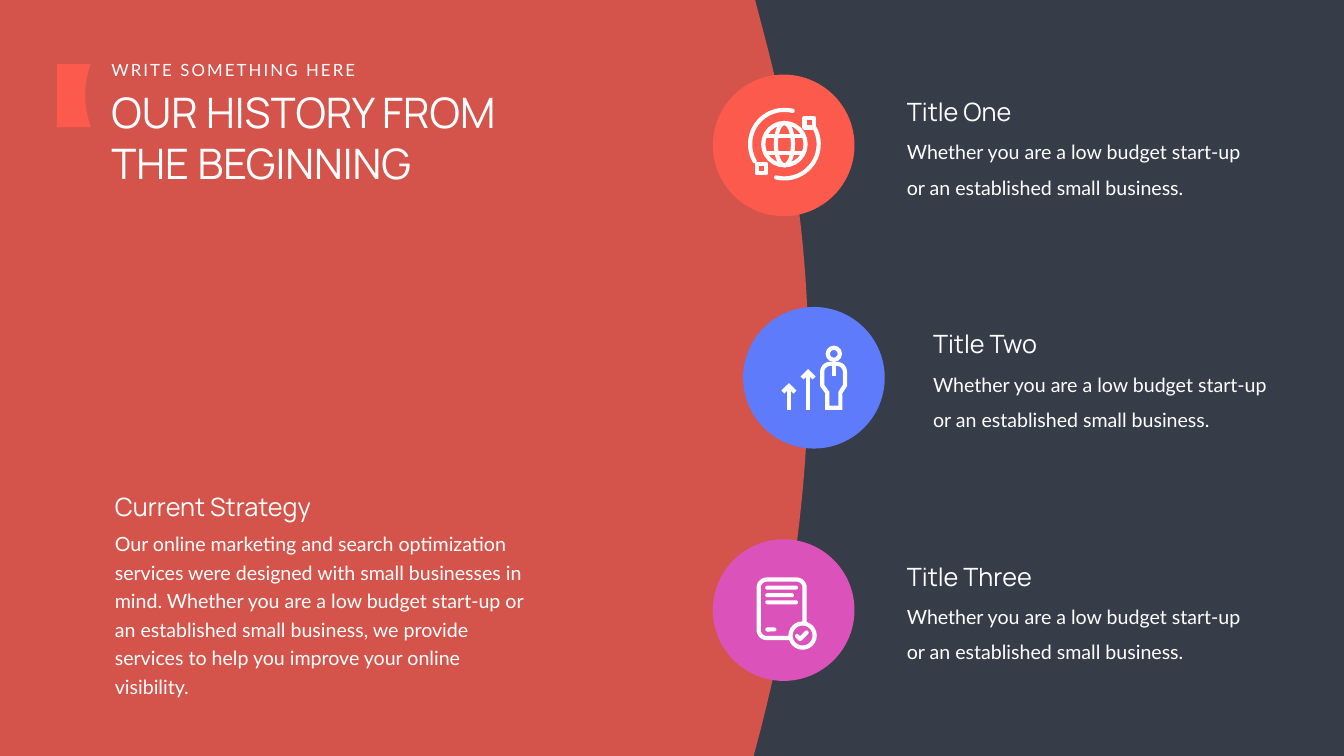
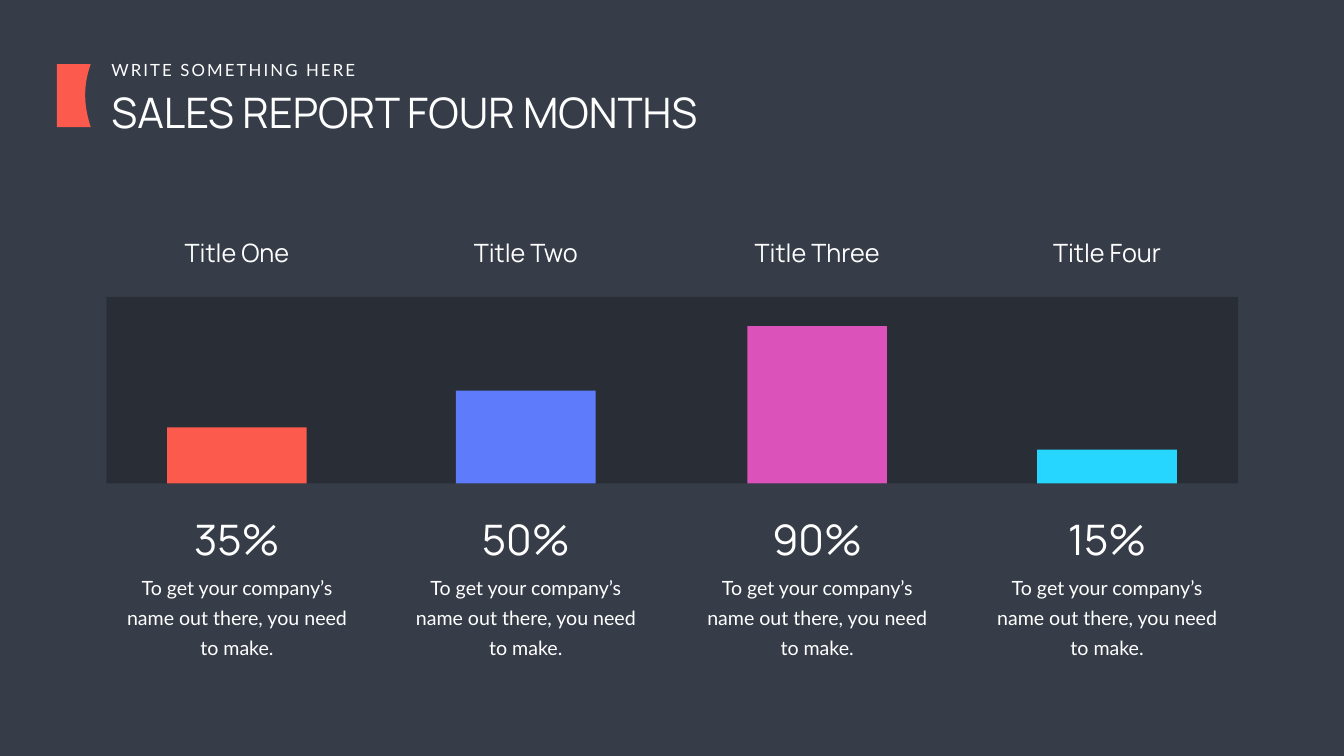
from dataclasses import dataclass
from math import cos, radians, sin

from lxml.etree import SubElement
from pptx import Presentation
from pptx.dml.color import RGBColor
from pptx.enum.shapes import MSO_SHAPE
from pptx.enum.text import MSO_ANCHOR, MSO_AUTO_SIZE, PP_ALIGN
from pptx.oxml.ns import qn
from pptx.util import Inches, Pt


@dataclass(frozen=True)
class Theme:
    background: str = "363D48"
    trough: str = "292E36"
    white: str = "FFFFFF"
    coral: str = "FC5A4C"
    blue: str = "5E7BFB"
    pink: str = "DC52BB"
    cyan: str = "26D6FE"
    heading_font: str = "Manrope"
    body_font: str = "Lato"
    title_size: int = 60
    heading_size: int = 36
    body_size: int = 28
    kicker_size: int = 24
    icon_stroke: float = 6


THEME = Theme()
MILESTONE_TEXT = "Whether you are a low budget start-up or an established small business."
MONTH_TEXT = "To get your company’s name out there, you need to make."
STRATEGY_TEXT = (
    "Our online marketing and search optimization services were designed with small "
    "businesses in mind. Whether you are a low budget start-up or an established small "
    "business, we provide services to help you improve your online visibility."
)


def color(value):
    return RGBColor.from_string(value)


def box(left, top, width, height):
    return [Inches(value) for value in (left, top, width, height)]


def write(shape, text, size, font, wrap=True, align=PP_ALIGN.LEFT, spacing=None, tracking=None):
    frame = shape.text_frame
    frame.word_wrap = wrap
    frame.auto_size = MSO_AUTO_SIZE.SHAPE_TO_FIT_TEXT
    frame.vertical_anchor = MSO_ANCHOR.TOP
    paragraph = frame.paragraphs[0]
    paragraph.alignment = align
    paragraph.line_spacing = spacing
    run = paragraph.add_run()
    run.text = text
    run.font.size = Pt(size)
    run.font.name = font
    run.font.color.rgb = color(THEME.white)
    if tracking:
        run.font._element.set("spc", str(tracking * 100))


def add_text(slide, area, text, size, font, **style):
    write(slide.shapes.add_textbox(*box(*area)), text, size, font, **style)


def add_heading(slide, area, text, **style):
    add_text(slide, area, text, THEME.heading_size, THEME.heading_font, **style)


def add_body(slide, area, text, spacing, **style):
    add_text(slide, area, text, THEME.body_size, THEME.body_font, spacing=spacing, **style)


def paint(shape, fill, alpha=None):
    shape.shadow.inherit = False
    shape.fill.solid()
    shape.fill.fore_color.rgb = color(fill)
    shape.line.fill.background()
    if alpha:
        swatch = shape._element.spPr.find(qn("a:solidFill"))[0]
        SubElement(swatch, qn("a:alpha")).set("val", str(alpha * 1000))


def add_filled(slide, kind, area, fill):
    shape = slide.shapes.add_shape(kind, *box(*area))
    paint(shape, fill)
    return shape


def build_outline(slide, contours, close):
    points = [[(Inches(x), Inches(y)) for x, y in contour] for contour in contours]
    builder = slide.shapes.build_freeform(*points[0][0])
    for index, contour in enumerate(points):
        if index:
            builder.move_to(*contour[0])
        builder.add_line_segments(contour[1:], close=close)
    return builder.convert_to_shape()


def stroke(shape, rounded):
    shape.shadow.inherit = False
    shape.fill.background()
    shape.line.color.rgb = color(THEME.white)
    shape.line.width = Pt(THEME.icon_stroke)
    line = shape.line._get_or_add_ln()
    line.set("cap", "rnd" if rounded else "flat")
    if rounded:
        SubElement(line, qn("a:round"))
    else:
        SubElement(line, qn("a:miter")).set("lim", "800000")


def add_strokes(slide, *contours, close=False, rounded=True):
    stroke(build_outline(slide, contours, close), rounded)


def add_ring(slide, x, y, rx, ry):
    stroke(slide.shapes.add_shape(MSO_SHAPE.OVAL, *box(x - rx, y - ry, 2 * rx, 2 * ry)), True)


def arc(x, y, radius, start, end, steps=24):
    angles = [radians(start + (end - start) * i / steps) for i in range(steps + 1)]
    return [(x + radius * cos(a), y + radius * sin(a)) for a in angles]


def bezier(p0, p1, p2, p3, steps=48):
    def point(t):
        weights = ((1 - t) ** 3, 3 * t * (1 - t) ** 2, 3 * t * t * (1 - t), t ** 3)
        return tuple(
            sum(w * p[axis] for w, p in zip(weights, (p0, p1, p2, p3))) for axis in (0, 1)
        )

    return [point(i / steps) for i in range(steps + 1)]


def add_globe_icon(slide):
    x, y = 15.56, 2.86
    add_ring(slide, x, y, 0.42, 0.42)
    add_ring(slide, x, y, 0.17, 0.42)
    add_strokes(slide, *[[(x - 0.38, y + dy), (x + 0.38, y + dy)] for dy in (-0.16, 0.17)])
    for start, end, left, top in ((-30, 104, 15.96, 2.34), (150, 284, 15.01, 3.25)):
        add_strokes(slide, arc(x, y, 0.68, start, end))
        satellite = slide.shapes.add_shape(MSO_SHAPE.RECTANGLE, *box(left, top, 0.19, 0.19))
        stroke(satellite, True)


def add_growth_icon(slide):
    add_ring(slide, 16.54, 7.02, 0.12, 0.12)
    body = arc(16.47, 7.38, 0.16, 180, 270) + arc(16.6, 7.38, 0.16, -90, 0)
    legs = [(16.76, 7.65), (16.67, 7.79), (16.67, 8.09), (16.41, 8.09), (16.41, 7.79), (16.31, 7.65)]
    add_strokes(slide, body + legs, close=True, rounded=False)
    add_strokes(slide, [(16.54, 7.22), (16.54, 7.46)], rounded=False)
    for x, tip in ((16.03, 7.38), (15.65, 7.66)):
        head = [(x - 0.12, tip + 0.12), (x, tip), (x + 0.12, tip + 0.12)]
        add_strokes(slide, head, [(x, tip), (x, 8.13)], rounded=False)


def add_document_icon(slide):
    left, top, right, bottom, radius = 15.05, 11.5, 15.96, 12.66, 0.16
    page = (
        [(right, 12.37)]
        + arc(right - radius, top + radius, radius, 0, -90)
        + arc(left + radius, top + radius, radius, -90, -180)
        + arc(left + radius, bottom - radius, radius, 180, 90)
        + [(15.68, bottom)]
    )
    add_strokes(slide, page)
    for width, row_top in ((0.65, 11.62), (0.57, 11.77), (0.65, 11.91), (0.22, 12.45)):
        row = add_filled(slide, MSO_SHAPE.ROUNDED_RECTANGLE, (15.18, row_top, width, 0.08), THEME.white)
        row.adjustments[0] = 0.5
    add_ring(slide, 15.92, 12.61, 0.24, 0.24)
    add_strokes(slide, [(15.81, 12.62), (15.87, 12.68), (16, 12.55)])


def add_header(slide, title, width, height):
    placeholder = slide.shapes.title
    placeholder.left, placeholder.top, placeholder.width, placeholder.height = box(
        2.11, 1.67, width, height
    )
    write(placeholder, title, THEME.title_size, THEME.heading_font)
    add_text(slide, (2.11, 1.13, 5.14, 0.5), "WRITE SOMETHING HERE", THEME.kicker_size,
             THEME.body_font, wrap=False, tracking=3)
    notch = bezier((1.8, 1.27), (1.68, 1.61), (1.63, 2), (1.8, 2.52))
    paint(build_outline(slide, [[(1.13, 1.27)] + notch + [(1.13, 2.52)]], True), THEME.coral)


def add_curved_panel(slide):
    edge = bezier((14.95, 15), (17.14, 6.99), (15.42, 1.77), (14.98, 0))
    panel = build_outline(slide, [[(0, 0), (0, 15)] + edge], True)
    paint(panel, THEME.coral, alpha=80)
    slide.shapes.title._element.addprevious(panel._element)


def add_milestone(slide, index, title, title_width, circle_left, text_left, fill, draw_icon):
    top = 1.48 + 4.61 * index
    add_filled(slide, MSO_SHAPE.OVAL, (circle_left, top, 2.81, 2.81), fill)
    add_heading(slide, (text_left, top + 0.38, title_width, 0.71), title, wrap=False)
    add_body(slide, (text_left, top + 1.02, 7.24, 1.42), MILESTONE_TEXT, 1.5)
    draw_icon(slide)


def add_month(slide, center, title, share, bar_height, fill):
    def centered(top, width, height):
        return center - width / 2, top, width, height

    add_heading(slide, centered(4.65, 3.57, 0.71), title, align=PP_ALIGN.CENTER)
    add_filled(slide, MSO_SHAPE.RECTANGLE, centered(9.59 - bar_height, 2.77, bar_height), fill)
    add_text(slide, centered(10.13, 2.33, 1.11), share, THEME.title_size, THEME.heading_font,
             align=PP_ALIGN.CENTER)
    add_body(slide, centered(11.24, 4.65, 1.85), MONTH_TEXT, Pt(43), align=PP_ALIGN.CENTER)


def build_history(slide):
    add_curved_panel(slide)
    add_header(slide, "OUR HISTORY FROM THE BEGINNING", 8.67, 2.12)
    add_heading(slide, (2.18, 9.7, 4.43, 0.71), "Current Strategy", wrap=False)
    add_body(slide, (2.18, 10.41, 8.6, 2.92), STRATEGY_TEXT, Pt(40.8))
    milestones = (
        ("Title One", 2.42, 14.14, 17.89, THEME.coral, add_globe_icon),
        ("Title Two", 2.41, 14.74, 18.41, THEME.blue, add_growth_icon),
        ("Title Three", 2.81, 14.14, 17.89, THEME.pink, add_document_icon),
    )
    for index, milestone in enumerate(milestones):
        add_milestone(slide, index, *milestone)


def build_sales(slide):
    add_header(slide, "SALES REPORT FOUR MONTHS", 14.45, 1.11)
    add_filled(slide, MSO_SHAPE.RECTANGLE, (2.11, 5.89, 22.45, 3.7), THEME.trough)
    months = (
        (4.7, "Title One", "35%", 1.11, THEME.coral),
        (10.43, "Title Two", "50%", 1.84, THEME.blue),
        (16.21, "Title Three", "90%", 3.12, THEME.pink),
        (21.96, "Title Four", "15%", 0.67, THEME.cyan),
    )
    for month in months:
        add_month(slide, *month)


def main():
    deck = Presentation()
    deck.slide_width, deck.slide_height = Inches(26.66), Inches(15)
    backdrop = deck.slide_master.background.fill
    backdrop.solid()
    backdrop.fore_color.rgb = color(THEME.background)
    title_only = deck.slide_layouts[5]
    for build in (build_history, build_sales):
        build(deck.slides.add_slide(title_only))
    deck.save("out.pptx")


if __name__ == "__main__":
    main()
